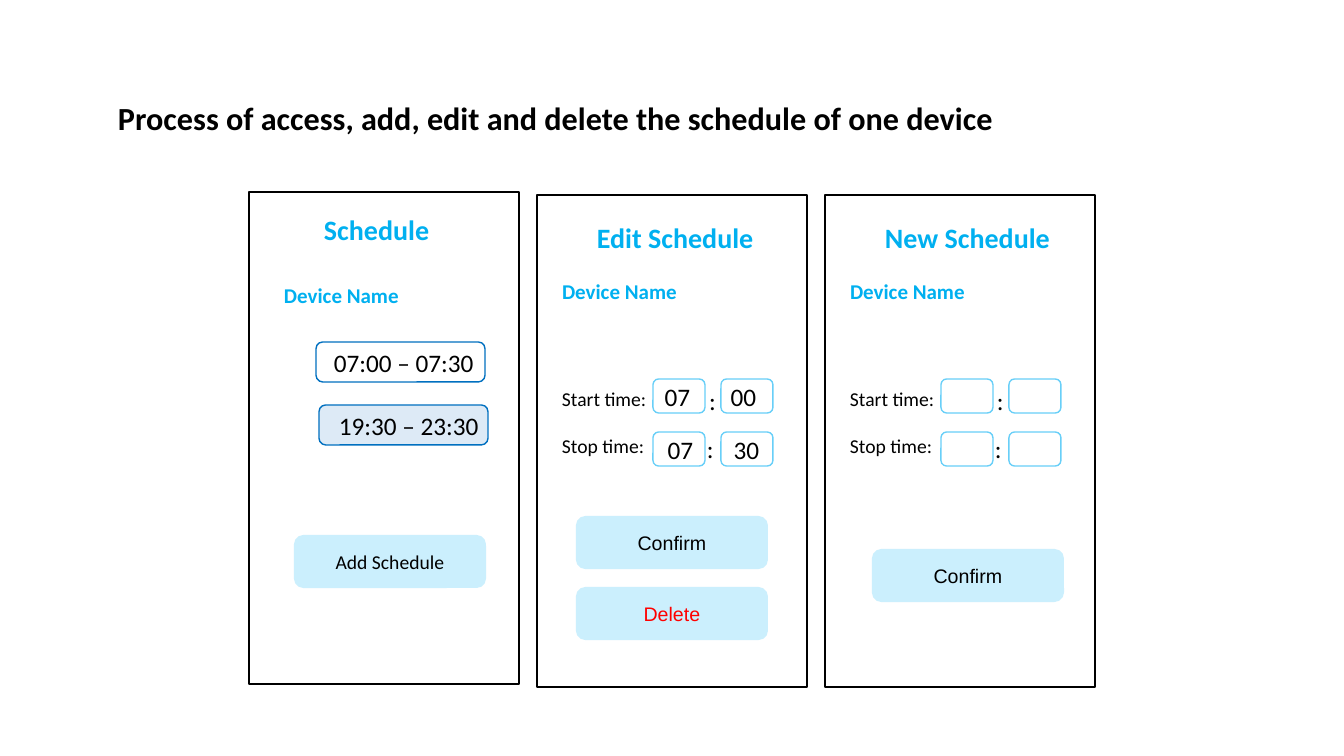
from pptx import Presentation
from pptx.dml.color import RGBColor
from pptx.enum.shapes import MSO_SHAPE as Shape
from pptx.enum.text import MSO_ANCHOR as Anchor, PP_ALIGN as Align
from pptx.util import Emu, Pt

BLACK = RGBColor(0x00, 0x00, 0x00)
WHITE = RGBColor(0xFF, 0xFF, 0xFF)
RED = RGBColor(0xFF, 0x00, 0x00)
SKY = RGBColor(0x00, 0xB0, 0xF0)
BLUE = RGBColor(0x00, 0x70, 0xC0)
PALE_BLUE = RGBColor(0xDD, 0xEA, 0xF6)
FIELD_LINE = RGBColor(0x68, 0xCF, 0xF8)
BUTTON_FILL = RGBColor(0xCB, 0xEF, 0xFD)

HEADING = "Process of access, add, edit and delete the schedule of one device"
DEVICE = "Device Name"
TIME_LABELS = ["Start time:", "Stop time:"]

# left, top, text, left inset, fill
SLOTS = [
    (316, 342, "07:00 – 07:30", 16, WHITE),
    (319, 405, "19:30 – 23:30", 18, PALE_BLUE),
]
# title, panel left, rows of (field text, left inset)
FORMS = [
    ("Edit Schedule", 537, [[("07", 10), ("00", 8)], [("07", 13), ("30", 11)]]),
    ("New Schedule", 825, [[("", 10), ("", 10)], [("", 10), ("", 10)]]),
]
# left, top, label, font, colour
BUTTONS = [
    (295, 536, "Add Schedule", "Calibri", BLACK),
    (577, 517, "Confirm", "Arial", BLACK),
    (577, 588, "Delete", "Arial", RED),
    (873, 550, "Confirm", "Arial", BLACK),
]

PANEL_SIZE = (270, 492)
FIELD_SIZE = (52, 34)
FIELD_LEFTS = (116, 184)    # from the panel's left edge
FIELD_TOPS = (379, 432)
COLONS = ((162, 380), (160, 428))

PX = 914400 / 100.8


def px(count):
    return Emu(round(count * PX))


deck = Presentation()
deck.slide_width, deck.slide_height = px(1344), px(756)
page = deck.slides.add_slide(deck.slide_layouts[6])


def write(shape, text, size, color=BLACK, bold=False, font="Calibri",
          align=Align.LEFT, inset=10, right=10, edge=5, gap=0):
    """Fill a shape with paragraphs in one style; gap is in points."""
    frame = shape.text_frame
    frame.word_wrap = True
    frame.margin_left, frame.margin_right = px(inset), px(right)
    frame.margin_top = frame.margin_bottom = px(edge)
    frame.text = text
    for index, para in enumerate(frame.paragraphs):
        para.alignment = align
        if index:
            para.space_before = Pt(gap)
        for span in para.runs:
            span.font.name, span.font.size = font, Pt(size)
            span.font.bold, span.font.color.rgb = bold, color


def add_label(left, top, width, height, text, size, **style):
    box = page.shapes.add_textbox(px(left), px(top), px(width), px(height))
    write(box, text, size, **style)


def add_box(kind, left, top, size, fill, line, weight=1):
    box = page.shapes.add_shape(kind, px(left), px(top), *map(px, size))
    box.shadow.inherit = False
    box.fill.solid()
    box.fill.fore_color.rgb = fill
    box.line.color.rgb = line
    box.line.width = Pt(weight)
    box.text_frame.vertical_anchor = Anchor.MIDDLE
    return box


def add_panel(left, top, title, title_at, device_at):
    add_box(Shape.RECTANGLE, left, top, PANEL_SIZE, WHITE, BLACK)
    add_label(*title_at, 200, 44, title, 20, color=SKY, bold=True)
    add_label(*device_at, 154, 35, DEVICE, 15, color=SKY, bold=True)


def add_form(title, left, rows):
    add_panel(left, 195, title, (left + 50, 215), (left + 15, 274))
    add_label(left + 15, 382, 105, 82, "\n".join(TIME_LABELS), 14, gap=17)
    for row, top, (colon_left, colon_top) in zip(rows, FIELD_TOPS, COLONS):
        for (text, inset), field_left in zip(row, FIELD_LEFTS):
            field = add_box(Shape.ROUNDED_RECTANGLE, left + field_left, top,
                            FIELD_SIZE, WHITE, FIELD_LINE)
            if text:
                write(field, text, 18, inset=inset, right=0, edge=0)
        add_label(left + colon_left, colon_top, 26, 40, ":", 18)


add_label(108, 88, 1052, 59, HEADING, 23, bold=True, edge=10)

add_panel(249, 192, "Schedule", (314, 207), (274, 278))
for left, top, text, inset, fill in SLOTS:
    slot = add_box(Shape.ROUNDED_RECTANGLE, left, top, (169, 40), fill, BLUE)
    write(slot, text, 18, inset=inset, right=0, edge=0)

for title, left, rows in FORMS:
    add_form(title, left, rows)

for left, top, label, font, color in BUTTONS:
    button = add_box(Shape.ROUNDED_RECTANGLE, left, top, (190, 51),
                     BUTTON_FILL, BUTTON_FILL, 1.5)
    write(button, label, 14, color=color, font=font, align=Align.CENTER)

deck.save("out.pptx")
